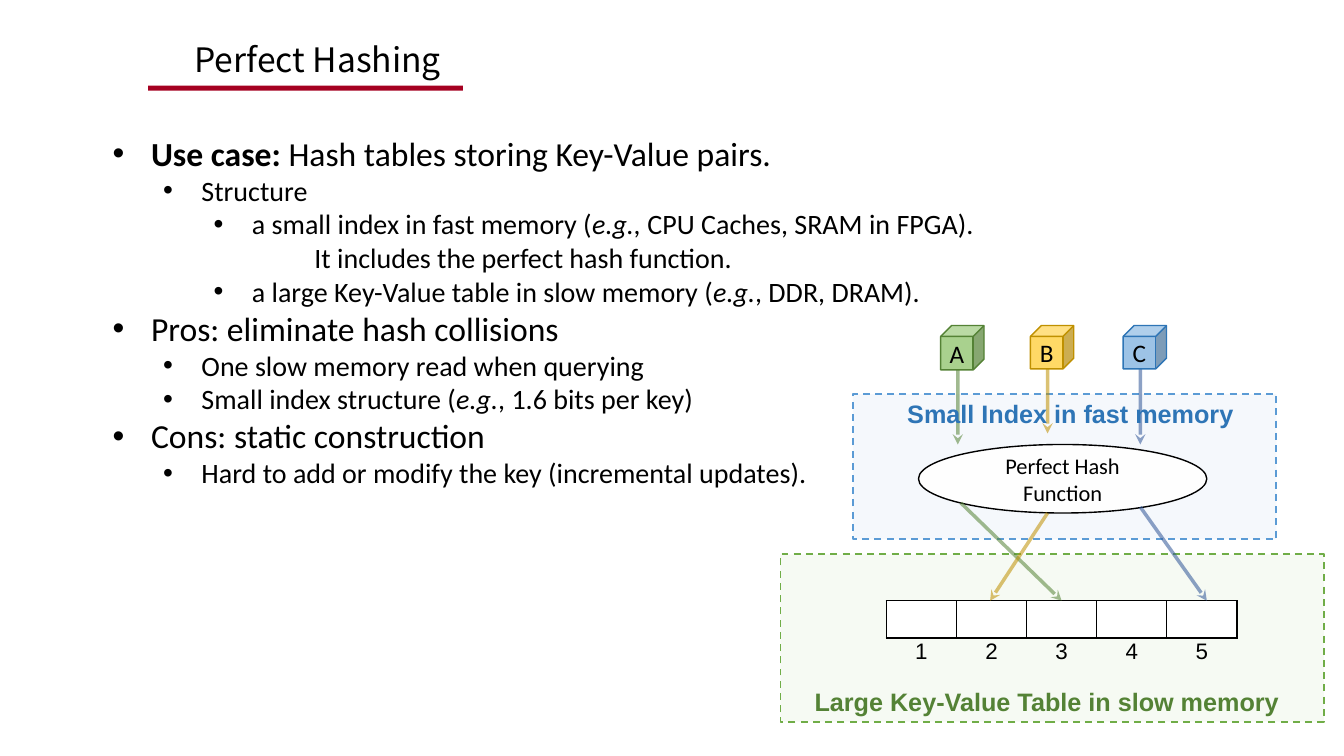
from pptx import Presentation
from pptx.dml.color import RGBColor as RGB
from pptx.enum.dml import MSO_LINE as Dash
from pptx.enum.shapes import MSO_CONNECTOR as Conn, MSO_SHAPE as Shape
from pptx.enum.text import MSO_ANCHOR as Anchor, MSO_AUTO_SIZE as Fit, PP_ALIGN as Align
from pptx.oxml.ns import qn
from pptx.util import Inches, Pt
from lxml.etree import SubElement as Sub

HUES = {
    "black": "000000", "white": "FFFFFF", "red": "A50021",
    "green": "548235", "leaf": "A9D18E", "grass": "70AD47", "mint": "E2F0D9",
    "gold": "BF9000", "sun": "FFD966",
    "navy": "2F5597", "blue": "2E75B6", "sky": "9DC3E6", "edge": "5B9BD5", "ice": "DEEBF7",
}


def hue(name):
    return RGB.from_string(HUES[name])


def write(para, text, size=18, face="Calibri", color="black", bold=False, italic=False):
    run = para.add_run()
    run.text = text
    font = run.font
    font.size, font.name = Pt(size), face
    font.bold, font.italic = bold, italic
    font.color.rgb = hue(color)


def fade(fill, alpha):
    for tone in fill.iter(qn("a:srgbClr")):
        Sub(tone, qn("a:alpha"), val=str(alpha * 1000))


class Canvas:
    """Draw styled elements on one slide."""

    def __init__(self, deck):
        self.slide = deck.slides.add_slide(deck.slide_layouts[5])
        self.shapes = self.slide.shapes

    def title(self, text, box, **form):
        head = self.shapes.title
        head.left, head.top, head.width, head.height = map(Inches, box)
        frame = head.text_frame
        frame.auto_size, frame.vertical_anchor = Fit.NONE, Anchor.TOP
        para = frame.paragraphs[0]
        para.alignment = Align.LEFT
        write(para, text, **form)

    def frame(self, box):
        frame = self.shapes.add_textbox(*map(Inches, box)).text_frame
        frame.word_wrap = True
        return frame

    def label(self, text, box, **form):
        write(self.frame(box).paragraphs[0], text, **form)

    def bullets(self, rows, box):
        frame = self.frame(box)
        for pos, (level, text, mark) in enumerate(rows):
            para = frame.add_paragraph() if pos else frame.paragraphs[0]
            para.level = level
            prop = para._p.get_or_add_pPr()
            left = 0.38 + 0.5 * level if mark else 2.5
            prop.set("marL", str(Inches(left)))
            prop.set("indent", str(Inches(-0.38 if mark else 0)))
            if mark:
                Sub(prop, qn("a:buFont"), typeface="Arial")
                Sub(prop, qn("a:buChar"), char="•")
            else:
                Sub(prop, qn("a:buNone"))
            accent = "bold" if level == 1 else "italic"
            for part, words in enumerate(text.split("_")):
                if words:
                    write(para, words, size=24 if level == 1 else 20, **{accent: part % 2 == 1})

    def shape(self, kind, box, fill, line=None, width=1, alpha=None, dash=None, text="", size=18, pad=0.1):
        item = self.shapes.add_shape(kind, *map(Inches, box))
        item.shadow.inherit = False
        item.fill.solid()
        item.fill.fore_color.rgb = hue(fill)
        if alpha:
            fade(item._element.spPr.find(qn("a:solidFill")), alpha)
        if line:
            item.line.color.rgb = hue(line)
            item.line.width = Pt(width)
            if dash:
                item.line.dash_style = dash
        else:
            item.line.fill.background()
        if text:
            frame = item.text_frame
            frame.word_wrap = pad > 0
            frame.vertical_anchor = Anchor.MIDDLE
            frame.margin_left = frame.margin_right = Inches(pad)
            frame.margin_top = frame.margin_bottom = Inches(pad / 2)
            para = frame.paragraphs[0]
            para.alignment = Align.CENTER
            write(para, text, size=size)

    def arrow(self, start, end, color):
        item = self.shapes.add_connector(Conn.STRAIGHT, *map(Inches, start + end))
        item.line.width = Pt(2.5)
        item.line.color.rgb = hue(color)
        line = item.line._get_or_add_ln()
        fade(line, 55)
        Sub(line, qn("a:tailEnd"), type="stealth")
        Sub(item._element.spPr, qn("a:effectLst"))

    def strip(self, texts, box, grid):
        table = self.shapes.add_table(1, len(texts), *map(Inches, box)).table
        table.first_row = table.horz_banding = False
        for cell, text in zip(table.iter_cells(), texts):
            pad = Inches(0.05 if text else 0.03)
            cell.margin_left = cell.margin_right = pad
            cell.margin_top = cell.margin_bottom = pad
            prop = cell._tc.get_or_add_tcPr()
            for side in "LRTB":
                line = Sub(prop, qn("a:ln" + side), w=str(Pt(1)))
                if grid:
                    Sub(Sub(line, qn("a:solidFill")), qn("a:srgbClr"), val=HUES["black"])
                else:
                    Sub(line, qn("a:noFill"))
            if grid:
                cell.fill.solid()
                cell.fill.fore_color.rgb = hue("white")
            else:
                cell.fill.background()
            if text:
                para = cell.text_frame.paragraphs[0]
                para.alignment = Align.CENTER
                write(para, text, size=16, face="Arial")


ROWS = [
    (1, "_Use case: _Hash tables storing Key-Value pairs.", True),
    (2, "Structure", True),
    (3, "a small index in fast memory (_e.g., _CPU Caches, SRAM in FPGA).", True),
    (3, "It includes the perfect hash function.", False),
    (3, "a large Key-Value table in slow memory (_e.g._, DDR, DRAM).", True),
    (1, "Pros: eliminate hash collisions", True),
    (2, "One slow memory read when querying", True),
    (2, "Small index structure (_e.g._, 1.6 bits per key)", True),
    (1, "Cons: static construction", True),
    (2, "Hard to add or modify the key (incremental updates).", True),
]

KEYS = [
    ("A", 9.33, 0.44, "leaf", "green", "green", 4.41, (9.53, 4.99), (10.53, 5.96)),
    ("B", 10.22, 0.43, "sun", "gold", "gold", 4.3, (10.39, 5.09), (9.82, 5.96)),
    ("C", 11.14, 0.43, "sky", "blue", "navy", 4.41, (11.31, 5.03), (11.97, 5.96)),
]


def main():
    deck = Presentation()
    deck.slide_width, deck.slide_height = Inches(13.33), Inches(7.5)
    art = Canvas(deck)
    art.title("Perfect Hashing", (1.83, 0.34, 7.18, 0.5), size=24, face="Noto Sans CJK SC")
    art.shape(Shape.RECTANGLE, (1.47, 0.85, 3.12, 0.05), "red")
    art.bullets(ROWS, (0.52, 1.27, 9.3, 4.41))
    for box, fill, line in [((7.74, 5.5, 5.39, 1.66), "mint", "grass"), ((8.46, 3.91, 4.2, 1.44), "ice", "edge")]:
        art.shape(Shape.RECTANGLE, box, fill, line, width=1.25, alpha=30, dash=Dash.DASH)
    art.strip([""] * 5, (8.79, 5.96, 3.48, 0.37), grid=True)
    for name, left, tall, fill, line, tint, tip, start, end in KEYS:
        mid = left + 0.17
        art.arrow((mid, 3.23 + tall), (mid, tip), tint)
    art.shape(Shape.OVAL, (9.11, 4.41, 2.86, 0.68), "white", "black", alpha=90,
              text="Perfect Hash Function", size=16)
    art.label("Small Index in fast memory", (8.9, 3.9, 3.46, 0.4), face="Arial", color="blue", bold=True)
    art.label("Large Key-Value Table in slow memory", (7.98, 6.76, 5.08, 0.4),
              face="Arial", color="green", bold=True)
    for name, left, tall, fill, line, tint, tip, start, end in KEYS:
        art.shape(Shape.CUBE, (left, 3.23, 0.43, tall), fill, line, text=name, pad=0)
        art.arrow(start, end, tint)
    art.strip([str(num) for num in range(1, 6)], (8.79, 6.29, 3.48, 0.37), grid=False)
    deck.save("out.pptx")


if __name__ == "__main__":
    main()
